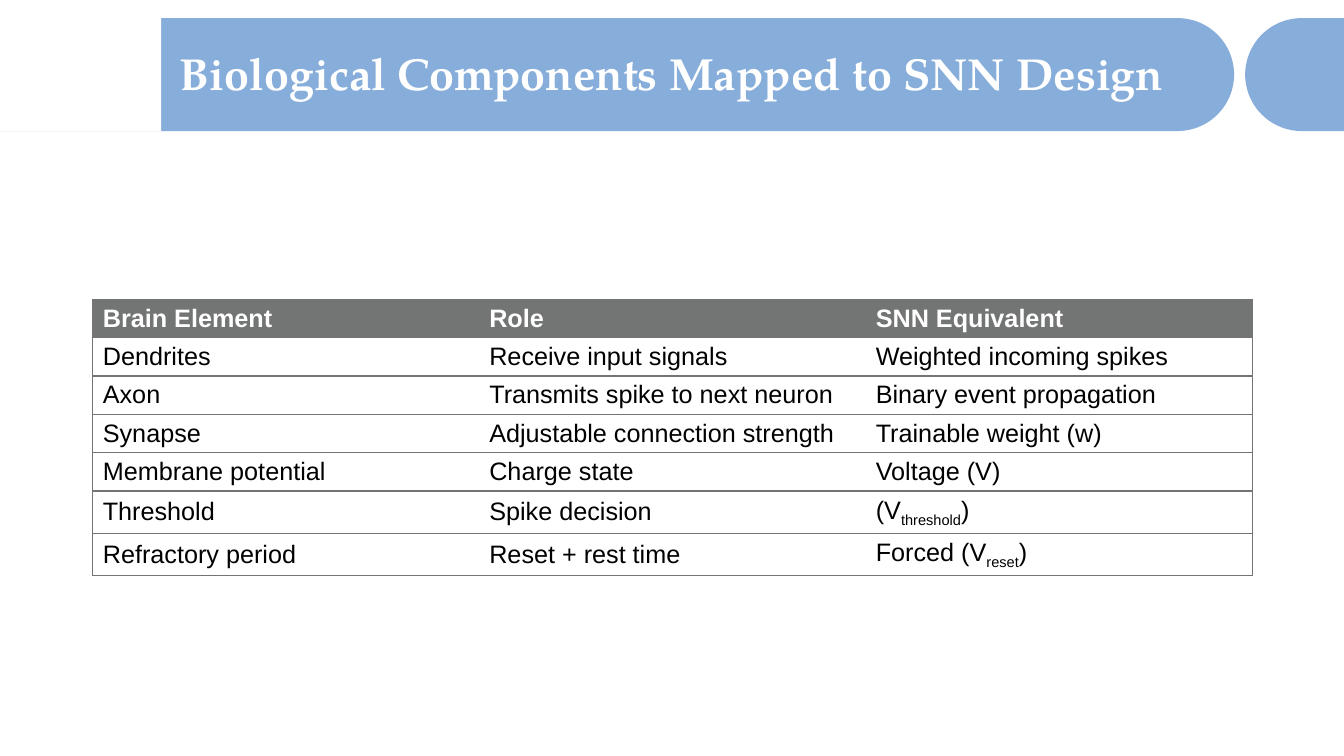
from math import cos, pi, sin

from lxml.etree import SubElement
from pptx import Presentation
from pptx.dml.color import RGBColor
from pptx.enum.shapes import MSO_SHAPE
from pptx.enum.text import MSO_ANCHOR, PP_ALIGN
from pptx.oxml.ns import qn
from pptx.util import Pt

PX = 9144
SLIDE_WIDTH, SLIDE_HEIGHT = 1333, 750
BAND_TOP, BAND_BOTTOM = 18, 130

BLUE = RGBColor(0x87, 0xAD, 0xDB)
GRAY = RGBColor(0x73, 0x74, 0x74)
WHITE = RGBColor(0xFF, 0xFF, 0xFF)
BLACK = RGBColor(0x00, 0x00, 0x00)

ROWS = [
    ("Brain Element", "Role", "SNN Equivalent"),
    ("Dendrites", "Receive input signals", "Weighted incoming spikes"),
    ("Axon", "Transmits spike to next neuron", "Binary event propagation"),
    ("Synapse", "Adjustable connection strength", "Trainable weight (w)"),
    ("Membrane potential", "Charge state", "Voltage (V)"),
    ("Threshold", "Spike decision", "(V_threshold_)"),
    ("Refractory period", "Reset + rest time", "Forced (V_reset_)"),
]


def paint(shape, color):
    shape.shadow.inherit = False
    shape.fill.solid()
    shape.fill.fore_color.rgb = color
    shape.line.fill.background()


def add_band(page, flat_edge, round_edge):
    radius = (BAND_BOTTOM - BAND_TOP) / 2
    direction = 1 if round_edge > flat_edge else -1
    center_x = round_edge - direction * radius
    center_y = BAND_TOP + radius
    steps = 60
    angles = [pi * step / steps - pi / 2 for step in range(steps + 1)]
    arc = [((center_x + direction * radius * cos(angle)) * PX,
            (center_y + radius * sin(angle)) * PX) for angle in angles]
    builder = page.shapes.build_freeform(flat_edge * PX, BAND_TOP * PX)
    builder.add_line_segments([*arc, (flat_edge * PX, BAND_BOTTOM * PX)], close=True)
    paint(builder.convert_to_shape(), BLUE)


def add_block(page, left, top, width, height, color):
    block = page.shapes.add_shape(MSO_SHAPE.RECTANGLE, left * PX, top * PX,
                                  width * PX, height * PX)
    paint(block, color)


def add_title(page, text, left, top, width, height):
    title = page.shapes.title
    title.element.getparent().append(title.element)
    title.left, title.top = left * PX, top * PX
    title.width, title.height = width * PX, height * PX
    frame = title.text_frame
    frame.word_wrap = True
    frame.vertical_anchor = MSO_ANCHOR.MIDDLE
    para = frame.paragraphs[0]
    para.alignment = PP_ALIGN.CENTER
    para.line_spacing = 0.9
    span = para.add_run()
    span.text = text
    span.font.name = "TeX Gyre Pagella"
    span.font.size = Pt(32)
    span.font.bold = True
    span.font.color.rgb = WHITE


def set_borders(cell, visible_sides):
    properties = cell._tc.get_or_add_tcPr()
    for side in "LRTB":
        line = SubElement(properties, qn(f"a:ln{side}"), w=str(Pt(1)))
        if side in visible_sides:
            fill = SubElement(line, qn("a:solidFill"))
            SubElement(fill, qn("a:srgbClr"), val=str(GRAY))
        else:
            SubElement(line, qn("a:noFill"))


def fill_cell(cell, text, is_header):
    cell.fill.solid()
    cell.fill.fore_color.rgb = GRAY if is_header else WHITE
    cell.vertical_anchor = MSO_ANCHOR.MIDDLE
    para = cell.text_frame.paragraphs[0]
    for index, part in enumerate(text.split("_")):
        span = para.add_run()
        span.text = part
        span.font.name = "Arial"
        span.font.size = Pt(18)
        span.font.bold = is_header
        span.font.color.rgb = WHITE if is_header else BLACK
        if index % 2:
            span._r.get_or_add_rPr().set("baseline", "-25000")


def add_mapping_table(page, left, top, width, row_height):
    row_count, column_count = len(ROWS), len(ROWS[0])
    frame = page.shapes.add_table(row_count, column_count, left * PX, top * PX,
                                  width * PX, row_count * row_height * PX)
    table = frame.table
    table.horz_banding = False
    for row_index, texts in enumerate(ROWS):
        table.rows[row_index].height = row_height * PX
        for column_index, text in enumerate(texts):
            cell = table.cell(row_index, column_index)
            sides = "TB"
            if column_index == 0:
                sides += "L"
            if column_index == column_count - 1:
                sides += "R"
            set_borders(cell, sides)
            fill_cell(cell, text, row_index == 0)


def main():
    deck = Presentation()
    deck.slide_width, deck.slide_height = SLIDE_WIDTH * PX, SLIDE_HEIGHT * PX
    page = deck.slides.add_slide(deck.slide_layouts[5])
    add_band(page, 0, 1224)
    add_block(page, 0, BAND_TOP, 160, BAND_BOTTOM - BAND_TOP, WHITE)
    add_band(page, SLIDE_WIDTH, 1235)
    add_title(page, "Biological Components Mapped to SNN Design", 58, 14, 1217, 123)
    add_mapping_table(page, 92, 297, 1150, 38)
    deck.save("out.pptx")


if __name__ == "__main__":
    main()
